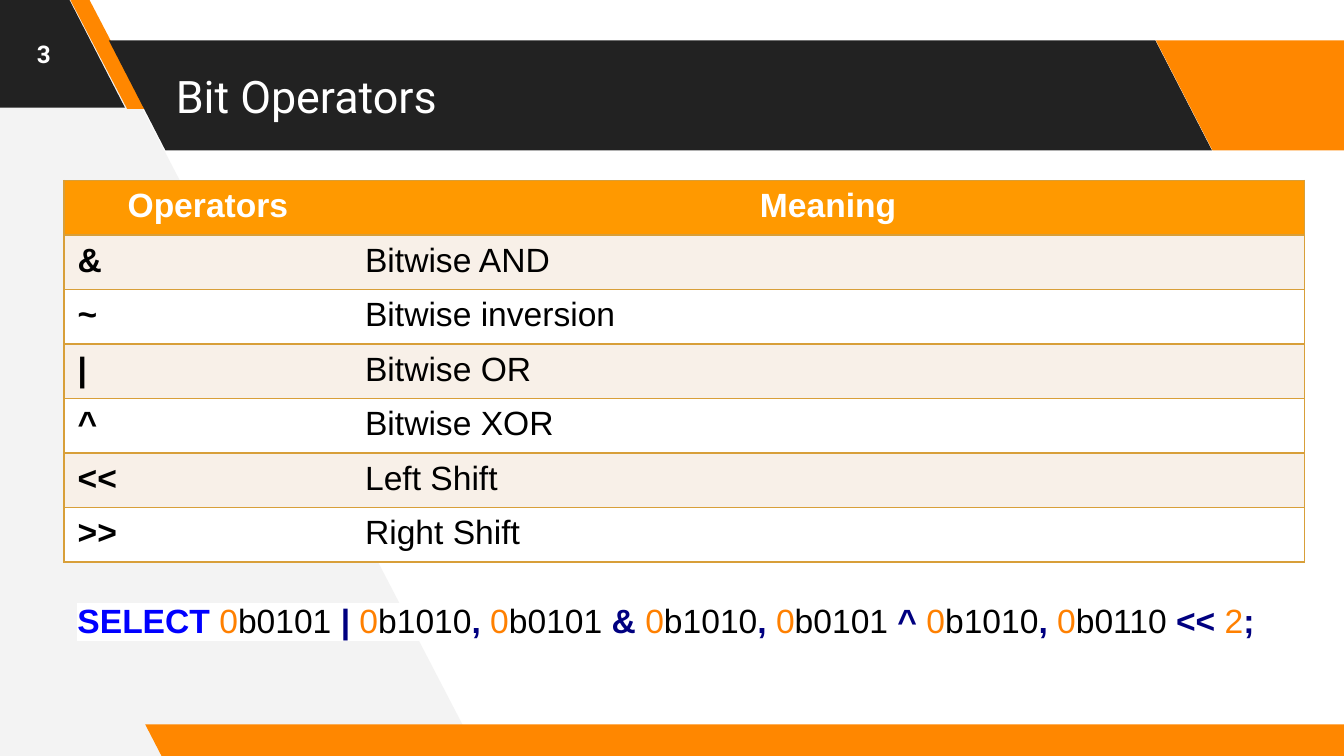
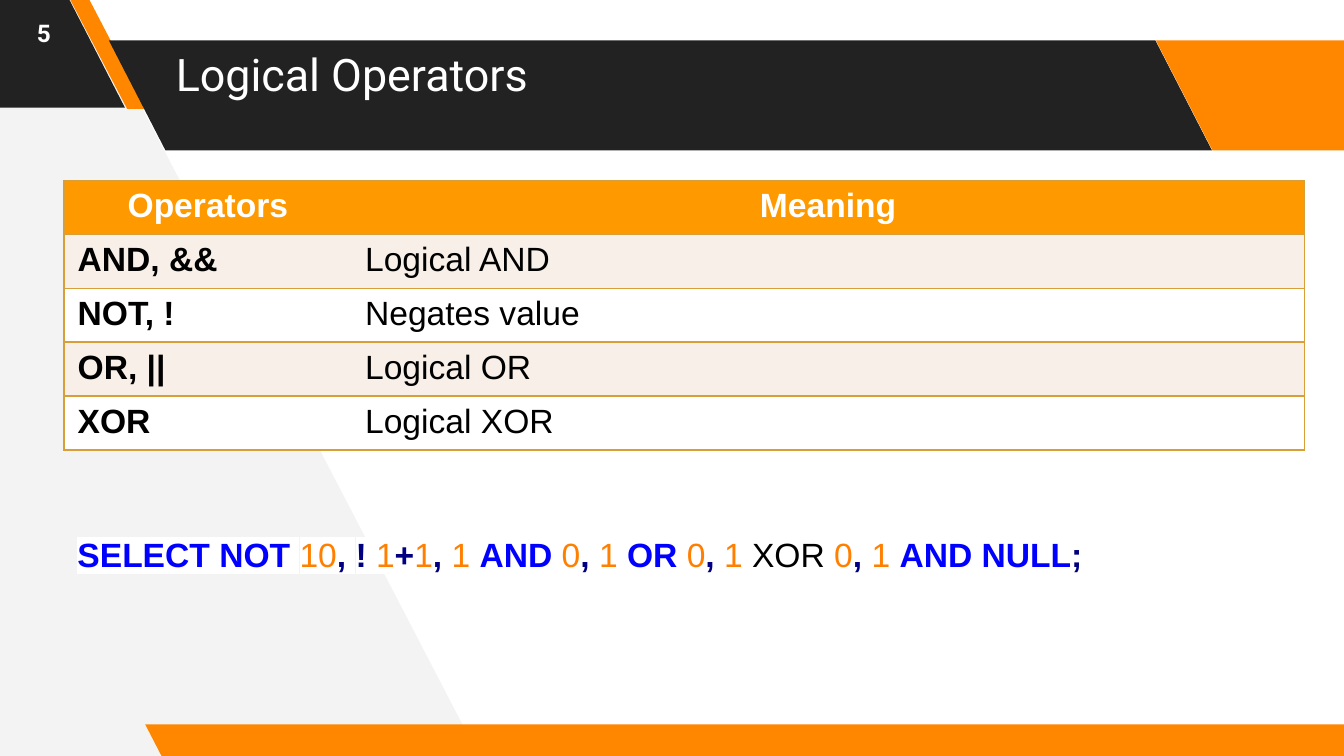
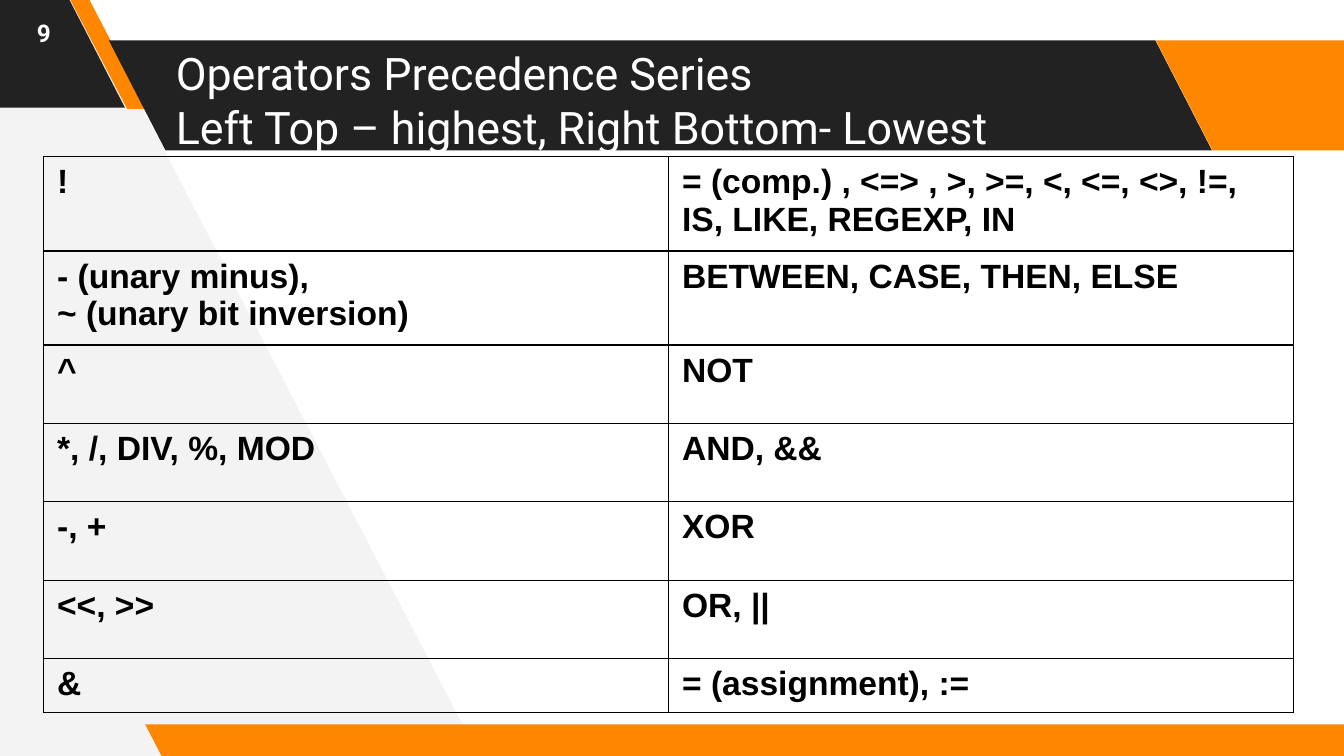
from itertools import groupby

from lxml import etree
from pptx import Presentation
from pptx.dml.color import RGBColor
from pptx.enum.shapes import MSO_SHAPE
from pptx.enum.text import MSO_ANCHOR, PP_ALIGN
from pptx.oxml.ns import qn
from pptx.util import Pt

PARALLELOGRAM = MSO_SHAPE.PARALLELOGRAM
TOP, MIDDLE = MSO_ANCHOR.TOP, MSO_ANCHOR.MIDDLE
LEFT, CENTER = PP_ALIGN.LEFT, PP_ALIGN.CENTER

WHITE = RGBColor(0xFF, 0xFF, 0xFF)
BLACK = RGBColor(0, 0, 0)
CHARCOAL = RGBColor(0x22, 0x22, 0x22)
ORANGE = RGBColor(0xFF, 0x87, 0x00)
PALE_GREY = RGBColor(0xF3, 0xF3, 0xF3)
HEADER_ORANGE = RGBColor(0xFF, 0x99, 0x00)
CREAM = RGBColor(0xF8, 0xF0, 0xE8)
GOLD = RGBColor(0xD8, 0x9F, 0x39)
KEYWORD_BLUE = RGBColor(0, 0, 0xFF)
SYMBOL_NAVY = RGBColor(0, 0, 0x80)
NUMBER_ORANGE = RGBColor(0xFF, 0x80, 0x00)

HEAD_FONT, BODY_FONT = "Roboto", "Arial"
KEYWORDS = {"SELECT", "NOT", "AND", "OR", "NULL"}

PAGE_WIDTH, PAGE_HEIGHT = 720, 405
BACKDROP = [(256.3, 404.6), (44.6, -2.9), (-4.3, -2.9), (-1.4, 407.5)]
# Box (left, top, width, height), slant and colour of each band
BANDS = [
    ((-71.3, -1.4, 138.2, 59), 0.515, CHARCOAL),
    ((37.4, -0.7, 41, 59), 0.75, ORANGE),
    ((58.3, 21.6, 591, 59), 0.515, CHARCOAL),
    ((619.2, 21.6, 138.2, 59), 0.515, ORANGE),
    ((77.8, 388, 659, 18), 0.515, ORANGE),
]


def points(values):
    return [Pt(value) for value in values]


def write(para, text, font=BODY_FONT, size=18, color=BLACK, bold=False,
          align=LEFT, highlight=None):
    """Add formatted text to a paragraph; a newline becomes a line break."""
    para.alignment = align
    for index, line in enumerate(text.split("\n")):
        if index:
            para.add_line_break()
        span = para.add_run()
        span.text = line
        span.font.name, span.font.size = font, Pt(size)
        span.font.bold = bold
        span.font.color.rgb = color
        if highlight is not None:
            mark = etree.Element(qn("a:highlight"))
            etree.SubElement(mark, qn("a:srgbClr"), val=str(highlight))
            span.font._element.find(qn("a:solidFill")).addnext(mark)


def add_text_box(page, box, anchor=TOP, inset=(7.2, 3.6)):
    """Add a wrapping text box and return its first paragraph."""
    frame = page.shapes.add_textbox(*points(box)).text_frame
    frame.word_wrap = True
    frame.vertical_anchor = anchor
    frame.margin_left = frame.margin_right = Pt(inset[0])
    frame.margin_top = frame.margin_bottom = Pt(inset[1])
    return frame.paragraphs[0]


def paint(shape, color):
    shape.shadow.inherit = False
    shape.fill.solid()
    shape.fill.fore_color.rgb = color
    shape.line.fill.background()


def add_bands(page):
    # Grey backdrop
    start, *rest = [points(corner) for corner in BACKDROP]
    outline = page.shapes.build_freeform(*start)
    outline.add_line_segments(rest, close=True)
    paint(outline.convert_to_shape(), PALE_GREY)
    # Slanted bands
    for box, slant, color in BANDS:
        band = page.shapes.add_shape(PARALLELOGRAM, *points(box))
        band.adjustments[0] = slant
        band.element.spPr.find(qn("a:xfrm")).set("flipH", "1")
        paint(band, color)


def add_page(deck, title, number, title_height, number_height):
    page = deck.slides.add_slide(deck.slide_layouts[6])
    add_bands(page)
    para = add_text_box(page, (87.1, 21.6, 529, title_height), MIDDLE, (7.2, 7.2))
    write(para, title, font=HEAD_FONT, size=24, color=WHITE)
    para = add_text_box(page, (0, 0, 46.8, number_height), MIDDLE, (7.2, 7.2))
    write(para, number, font=HEAD_FONT, size=13, color=WHITE, bold=True, align=CENTER)
    return page


def set_borders(cell, color, width, sides):
    """Draw the named sides (L, R, T, B) and clear the others."""
    props = cell._tc.get_or_add_tcPr()
    for side in "LRTB":
        line = etree.SubElement(props, qn(f"a:ln{side}"), w=str(Pt(width)))
        if side in sides:
            fill = etree.SubElement(line, qn("a:solidFill"))
            etree.SubElement(fill, qn("a:srgbClr"), val=str(color))
        else:
            etree.SubElement(line, qn("a:noFill"))


def add_grid(page, box, widths, heights):
    """Add a plain table of the given column widths and row heights."""
    holder = page.shapes.add_table(len(heights), len(widths), *points(box))
    grid = holder.table
    grid.first_row = grid.horz_banding = False
    for column, width in zip(grid.columns, widths):
        column.width = Pt(width)
    for row, height in zip(grid.rows, heights):
        row.height = Pt(height)
    holder.height = Pt(box[3])
    return grid


def add_operator_table(page, box, row_height, operators):
    rows = [("Operators", "Meaning"), *operators]
    first_width = 154
    grid = add_grid(page, box, [first_width, box[2] - first_width],
                    [row_height] * len(rows))
    for r, texts in enumerate(rows):
        header = r == 0
        for c, text in enumerate(texts):
            cell = grid.cell(r, c)
            set_borders(cell, GOLD, 1, "TB" + "LR"[c])
            cell.fill.solid()
            cell.fill.fore_color.rgb = HEADER_ORANGE if header else (WHITE, CREAM)[r % 2]
            write(cell.text_frame.paragraphs[0], text, bold=header or c == 0,
                  color=WHITE if header else BLACK, align=CENTER if header else LEFT)


def add_precedence_table(page, box, rows):
    grid = add_grid(page, box, [box[2] / 2] * 2, [42] * (len(rows) - 1) + [23])
    for r, texts in enumerate(rows):
        for c, text in enumerate(texts):
            cell = grid.cell(r, c)
            set_borders(cell, BLACK, 0.75, "LRTB")
            cell.fill.background()
            write(cell.text_frame.paragraphs[0], text, bold=True)


def char_class(char):
    return "space" if char.isspace() else "word" if char.isalnum() else "symbol"


def add_statement(page, box, code):
    """Write one SQL statement with its syntax coloured."""
    para = add_text_box(page, box)
    for kind, chars in groupby(code, char_class):
        token = "".join(chars)
        if kind == "symbol":
            parts = [(token, SYMBOL_NAVY, True)]
        elif token in KEYWORDS:
            parts = [(token, KEYWORD_BLUE, True)]
        elif token.isdigit():
            parts = [(token, NUMBER_ORANGE, False)]
        elif token.startswith("0b"):
            parts = [("0", NUMBER_ORANGE, False), (token[1:], BLACK, False)]
        else:
            parts = [(token, BLACK, False)]
        for text, color, bold in parts:
            write(para, text, color=color, bold=bold, highlight=WHITE)


def main():
    deck = Presentation()
    deck.slide_width, deck.slide_height = Pt(PAGE_WIDTH), Pt(PAGE_HEIGHT)

    # Bit operators
    page = add_page(deck, "Bit Operators", "3", 59, 57.6)
    add_operator_table(page, (34.4, 96.8, 664.5, 204.4), 29.2, [
        ("&", "Bitwise AND"),
        ("~", "Bitwise inversion"),
        ("|", "Bitwise OR"),
        ("^", "Bitwise XOR"),
        ("<<", "Left Shift"),
        (">>", "Right Shift"),
    ])
    add_statement(page, (34.4, 317.8, 675.4, 29), "SELECT 0b0101 | 0b1010, "
                  "0b0101 & 0b1010, 0b0101 ^ 0b1010, 0b0110 << 2;")

    # Logical operators
    page = add_page(deck, "Logical Operators", "5", 36, 34.6)
    add_operator_table(page, (34.4, 96.8, 664.5, 144), 18, [
        ("AND, &&", "Logical AND"),
        ("NOT, !", "Negates value"),
        ("OR, ||", "Logical OR"),
        ("XOR", "Logical XOR"),
    ])
    add_statement(page, (34.4, 282.4, 627, 29),
                  "SELECT NOT 10, ! 1+1, 1 AND 0, 1 OR 0, 1 XOR 0, 1 AND NULL;")

    # Operator precedence
    title = "Operators Precedence Series\nLeft Top – highest, Right Bottom- Lowest"
    page = add_page(deck, title, "9", 63.4, 34.6)
    add_precedence_table(page, (23.4, 84, 669.6, 298), [
        ("!", "= (comp.) , <=> , >, >=, <, <=, <>, !=, IS, LIKE, REGEXP, IN"),
        ("- (unary minus), \n~ (unary bit inversion)", "BETWEEN, CASE, THEN, ELSE"),
        ("^", "NOT"),
        ("*, /, DIV, %, MOD", "AND, &&"),
        ("-, +", "XOR"),
        ("<<, >>", "OR, ||"),
        ("&", "= (assignment), :="),
    ])

    deck.save("out.pptx")


if __name__ == "__main__":
    main()
